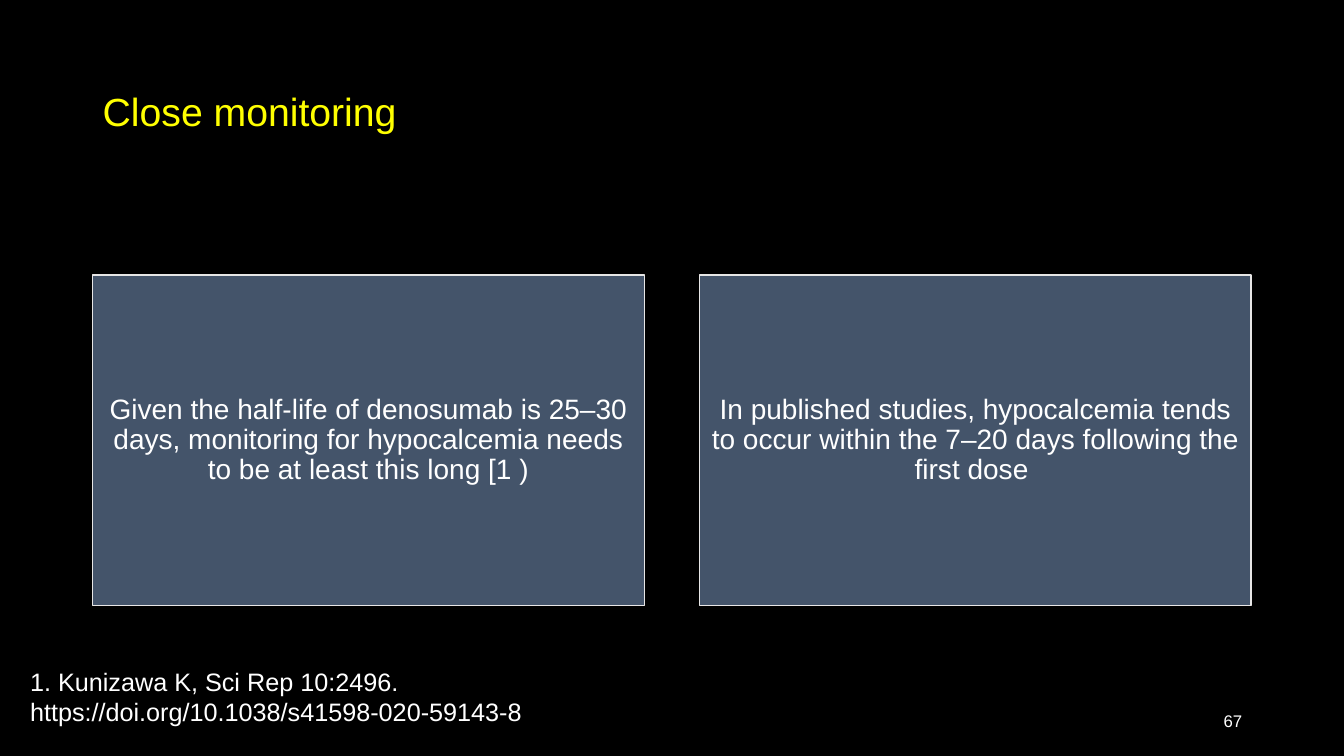
from pptx import Presentation, util as u
from pptx.dml.color import RGBColor
from pptx.enum import shapes, text

COLORS = {"back": "000000", "title": "FFFF00", "card": "44546A",
          "edge": "E7E6E6", "body": "FFFFFF"}
WIDTH, HEIGHT = 13.33, 7.5
MARGIN, CARD_WIDTH, GUTTER = 0.92 / WIDTH, 5.47 / WIDTH, 0.55 / WIDTH
CARD_TEXTS = [
    "Given the half-life of denosumab is 25–30 days, monitoring for "
    "hypocalcemia needs to be at least this long [1 )",
    "In published studies, hypocalcemia tends to occur within the 7–20 days "
    "following the first dose ",
]


class Page:
    """Holds the style and the slide; places are shares of the slide's size."""

    def __init__(self, deck, font="Arial"):
        self.font = font
        self.slide = deck.slides.add_slide(deck.slide_layouts[6])
        fill = self.slide.background.fill
        fill.solid()
        fill.fore_color.rgb = self.color("back")

    def color(self, name):
        return RGBColor.from_string(COLORS[name])

    def place(self, left, top, width, height):
        return (u.Inches(left * WIDTH), u.Inches(top * HEIGHT),
                u.Inches(width * WIDTH), u.Inches(height * HEIGHT))

    def set_words(self, shape, words, size, color="body",
                  align=text.PP_ALIGN.LEFT, anchor=text.MSO_ANCHOR.MIDDLE,
                  spacing=1.0, insets=(0.1, 0.05)):
        frame = shape.text_frame
        frame.text = words
        frame.word_wrap = True
        frame.vertical_anchor = anchor
        frame.margin_left = frame.margin_right = u.Inches(insets[0])
        frame.margin_top = frame.margin_bottom = u.Inches(insets[1])
        para = frame.paragraphs[0]
        para.alignment = align
        para.line_spacing = spacing
        for span in para.runs:
            span.font.name = self.font
            span.font.size = u.Pt(size)
            span.font.color.rgb = self.color(color)

    def label(self, area, words, size, **style):
        box = self.slide.shapes.add_textbox(*self.place(*area))
        self.set_words(box, words, size, **style)

    def card(self, area, words):
        box = self.slide.shapes.add_shape(
            shapes.MSO_SHAPE.RECTANGLE, *self.place(*area))
        box.shadow.inherit = False
        box.fill.solid()
        box.fill.fore_color.rgb = self.color("card")
        box.line.color.rgb = self.color("edge")
        box.line.width = u.Pt(1)
        self.set_words(box, words, 20, align=text.PP_ALIGN.CENTER,
                       spacing=0.9, insets=(0.08, 0.08))


def main():
    deck = Presentation()
    deck.slide_width, deck.slide_height = u.Inches(WIDTH), u.Inches(HEIGHT)
    page = Page(deck)
    page.label((MARGIN, 0.4 / HEIGHT, 11.5 / WIDTH, 1.45 / HEIGHT),
               "Close monitoring", 28, color="title", spacing=0.9)
    for column, words in enumerate(CARD_TEXTS):
        left = MARGIN + column * (CARD_WIDTH + GUTTER)
        page.card((left, 2.73 / HEIGHT, CARD_WIDTH, 3.28 / HEIGHT), words)
    page.label((9.42 / WIDTH, 6.95 / HEIGHT, 3 / WIDTH, 0.4 / HEIGHT),
               "67", 12, align=text.PP_ALIGN.RIGHT)
    page.label((0.2 / WIDTH, 6.56 / HEIGHT, 6.67 / WIDTH, 0.71 / HEIGHT),
               "1. Kunizawa K, Sci Rep 10:2496. "
               "https://doi.org/10.1038/s41598-020-59143-8",
               18, anchor=text.MSO_ANCHOR.TOP)
    deck.save("out.pptx")


if __name__ == "__main__":
    main()
